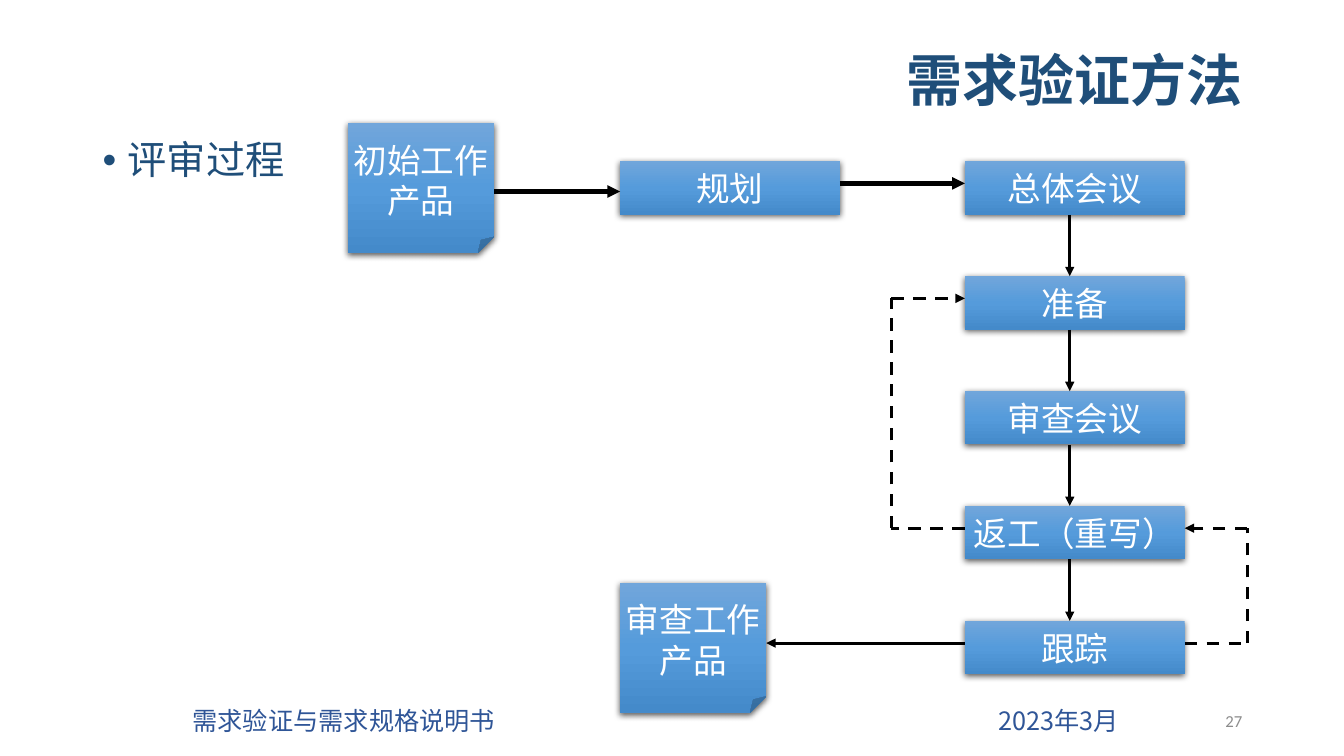
from copy import deepcopy
from dataclasses import dataclass
from itertools import pairwise

from lxml import etree
from pptx import Presentation
from pptx import util as u
from pptx.dml.color import RGBColor
from pptx.enum import dml, shapes, text
from pptx.oxml.ns import qn

PX = 9144
SC, JP = "Noto Sans CJK SC", "Noto Sans CJK JP"
NAVY = "1F4E79"
GRADIENT = [(0, "71A6DB"), (0.5, "559BDB"), (1, "448ACA")]
LEFT, CENTER, RIGHT = text.PP_ALIGN.LEFT, text.PP_ALIGN.CENTER, text.PP_ALIGN.RIGHT
TOP, MIDDLE = text.MSO_ANCHOR.TOP, text.MSO_ANCHOR.MIDDLE

BOX_W, BOX_H = 218, 53
NOTE_W, NOTE_H = 145, 129
STEP_X, STEP_Y, STEP_GAP = 957, 160, 114
STEPS = ["总体会议", "准备", "审查会议", "返工（重写）", "跟踪"]
PORT_Y = 22
ARROW_X = 1061


@dataclass
class Node:
    lines: list[str]
    x: int
    y: int
    note: bool = False


@dataclass
class Route:
    points: list[tuple[int, int]]
    width: float = 2.25
    dashed: bool = False


@dataclass
class Label:
    words: str
    box: tuple[int, int, int, int]
    size: int
    color: str
    font: str = SC
    align: text.PP_ALIGN = LEFT
    anchor: text.MSO_ANCHOR = TOP
    bold: bool = False
    spacing: float = 1.0
    bullet: bool = False
    inset: int = 10
    tab: int = 0


def px(n: int) -> u.Emu:
    return u.Emu(n * PX)


def rgb(code: str) -> RGBColor:
    return RGBColor.from_string(code)


def add_run(p, words: str, size: int, color: str, font: str, bold: bool = False) -> None:
    r = p.add_run()
    r.text = words
    r.font.size = u.Pt(size)
    r.font.bold = bold
    r.font.name = font
    r.font.color.rgb = rgb(color)
    etree.SubElement(r._r.get_or_add_rPr(), qn("a:ea"), typeface=font)


def add_label(slide, label: Label) -> None:
    tf = slide.shapes.add_textbox(*map(px, label.box)).text_frame
    tf.word_wrap = True
    tf.vertical_anchor = label.anchor
    tf.margin_left = px(label.inset)
    p = tf.paragraphs[0]
    p.alignment = label.align
    p.line_spacing = label.spacing
    pPr = p._p.get_or_add_pPr()
    if label.bullet:
        pPr.set("marL", str(px(25)))
        pPr.set("indent", str(px(-25)))
        etree.SubElement(pPr, qn("a:buFont"), typeface="Arial")
        etree.SubElement(pPr, qn("a:buChar"), char="•")
    if label.tab:
        tabs = etree.SubElement(pPr, qn("a:tabLst"))
        etree.SubElement(tabs, qn("a:tab"), pos=str(px(label.tab)), algn="l")
    add_run(p, label.words, label.size, label.color, label.font, label.bold)


def fill_gradient(sp) -> None:
    sp.fill.gradient()
    sp.fill.gradient_angle = 270
    stops = sp._element.spPr.find(qn("a:gradFill")).find(qn("a:gsLst"))
    stops.append(deepcopy(stops[-1]))
    for stop, (position, color) in zip(sp.fill.gradient_stops, GRADIENT):
        stop.position = position
        stop.color.rgb = rgb(color)


def add_shadow(sp) -> None:
    sp.shadow.inherit = False
    effects = sp._element.spPr.find(qn("a:effectLst"))
    shadow = etree.SubElement(effects, qn("a:outerShdw"), blurRad=str(u.Pt(4.5)),
                              dist=str(u.Pt(1.5)), dir="5400000", algn="ctr", rotWithShape="0")
    color = etree.SubElement(shadow, qn("a:srgbClr"), val="000000")
    etree.SubElement(color, qn("a:alpha"), val="63000")


def set_fold(sp) -> None:
    geometry = sp._element.spPr.find(qn("a:prstGeom"))
    guides = geometry.find(qn("a:avLst"))
    etree.SubElement(guides, qn("a:gd"), name="adj", fmla="val 12500")


def add_node(slide, node: Node) -> None:
    kind = shapes.MSO_SHAPE.FOLDED_CORNER if node.note else shapes.MSO_SHAPE.RECTANGLE
    w, h = (NOTE_W, NOTE_H) if node.note else (BOX_W, BOX_H)
    sp = slide.shapes.add_shape(kind, px(node.x), px(node.y), px(w), px(h))
    if node.note:
        set_fold(sp)
    fill_gradient(sp)
    sp.line.fill.background()
    add_shadow(sp)
    tf = sp.text_frame
    tf.word_wrap = False
    tf.vertical_anchor = MIDDLE
    for i, words in enumerate(node.lines):
        p = tf.add_paragraph() if i else tf.paragraphs[0]
        p.alignment = CENTER
        add_run(p, words, 24, "FFFFFF", SC)


def add_route(slide, route: Route) -> None:
    for start, end in pairwise(route.points):
        line = slide.shapes.add_connector(shapes.MSO_CONNECTOR.STRAIGHT, *map(px, start + end))
        line.line.color.rgb = rgb("000000")
        line.line.width = u.Pt(route.width)
        if route.dashed:
            line.line.dash_style = dml.MSO_LINE.DASH
        if end == route.points[-1]:
            etree.SubElement(line.line._ln, qn("a:tailEnd"), type="triangle")
        etree.SubElement(line._element.spPr, qn("a:effectLst"))


def main() -> None:
    prs = Presentation()
    prs.slide_width, prs.slide_height = px(1333), px(750)
    slide = prs.slides.add_slide(prs.slide_layouts[6])

    labels = [
        Label("需求验证与需求规格说明书\t2023年3月", (52, 695, 1220, 40), 18, "2F5597",
              inset=139, tab=799),
        Label("需求验证方法", (92, 31, 1150, 104), 40, NAVY, align=RIGHT, anchor=MIDDLE,
              bold=True, spacing=0.9),
        Label("评审过程", (92, 135, 1006, 474), 28, NAVY, JP, spacing=0.9, bullet=True),
        Label("27", (942, 695, 300, 40), 12, "8C8C8C", "Calibri", RIGHT, MIDDLE),
    ]
    for label in labels:
        add_label(slide, label)

    tops = [STEP_Y + i * STEP_GAP for i in range(len(STEPS))]
    ports = [top + PORT_Y for top in tops]
    nodes = [
        Node(["初始工作", "产品"], 345, 122, note=True),
        Node(["规划"], 615, STEP_Y),
        *(Node([step], STEP_X, top) for step, top in zip(STEPS, tops)),
        Node(["审查工作", "产品"], 615, 578, note=True),
    ]
    for node in nodes:
        add_node(slide, node)

    right = STEP_X + BOX_W
    routes = [
        Route([(490, 190), (615, 190)], 3),
        Route([(833, ports[0]), (STEP_X, ports[0])], 3),
        *(Route([(ARROW_X, a + BOX_H), (ARROW_X, b)]) for a, b in pairwise(tops)),
        Route([(STEP_X, ports[3]), (884, ports[3]), (884, ports[1]), (STEP_X, ports[1])],
              dashed=True),
        Route([(right, ports[4]), (1237, ports[4]), (1237, ports[3]), (right, ports[3])],
              dashed=True),
        Route([(STEP_X, ports[4]), (760, ports[4])]),
    ]
    for route in routes:
        add_route(slide, route)

    prs.save("out.pptx")


if __name__ == "__main__":
    main()
